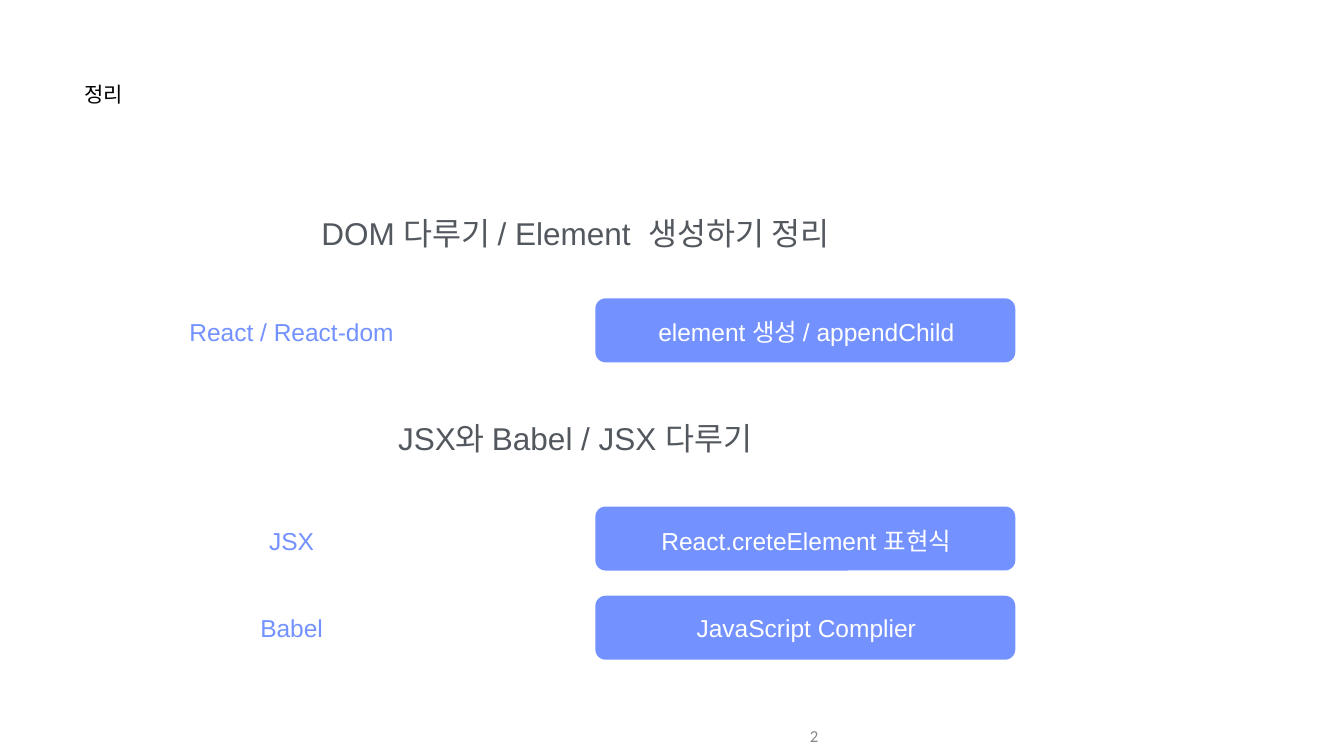
from pptx import Presentation
from pptx.dml.color import RGBColor
from pptx.enum.shapes import MSO_SHAPE
from pptx.enum.text import MSO_ANCHOR, PP_ALIGN
from pptx.util import Inches, Pt

ROUNDED = MSO_SHAPE.ROUNDED_RECTANGLE
TOP, MIDDLE = MSO_ANCHOR.TOP, MSO_ANCHOR.MIDDLE
LEFT, CENTER, RIGHT = PP_ALIGN.LEFT, PP_ALIGN.CENTER, PP_ALIGN.RIGHT

BLACK = RGBColor(0x00, 0x00, 0x00)
WHITE = RGBColor(0xFF, 0xFF, 0xFF)
BLUE = RGBColor(0x73, 0x91, 0xFF)
SLATE = RGBColor(0x53, 0x58, 0x5F)
GRAY = RGBColor(0x88, 0x88, 0x88)


def write(sp, text, size, color, align=CENTER, anchor=MIDDLE, font="Arial", inset=0.01):
    tf = sp.text_frame
    tf.word_wrap = True
    tf.vertical_anchor = anchor
    tf.margin_left = tf.margin_right = Inches(inset)
    tf.margin_top = tf.margin_bottom = Inches(min(inset, 0.05))
    p = tf.paragraphs[0]
    p.alignment = align
    r = p.add_run()
    r.text = text
    r.font.name = font
    r.font.size = Pt(size)
    r.font.color.rgb = color


def add_text(s, left, top, width, height, *args, **kwargs):
    sp = s.shapes.add_textbox(Inches(left), Inches(top), Inches(width), Inches(height))
    write(sp, *args, **kwargs)


prs = Presentation()
prs.slide_width = Inches(26.66)
prs.slide_height = Inches(15)
s = prs.slides.add_slide(prs.slide_layouts[5])

title = s.shapes.title
title.left, title.top = Inches(1.67), Inches(1.6)
title.width, title.height = Inches(4.86), Inches(1.18)
write(title, "정리", 30, BLACK, LEFT, TOP)

headings = [
    (4.24, "DOM 다루기 / Element  생성하기 정리"),
    (8.31, "JSX와 Babel / JSX 다루기"),
]
for top, heading in headings:
    add_text(s, 2.64, top, 17.54, 0.79, heading, 45, SLATE, anchor=TOP)

rows = [
    (5.92, 6.28, "React / React-dom", "element 생성 / appendChild"),
    (10.05, 10.42, "JSX", "React.creteElement 표현식"),
    (11.82, 12.15, "Babel", "JavaScript Complier"),
]
for box_top, text_top, term, meaning in rows:
    box = s.shapes.add_shape(ROUNDED, Inches(11.81), Inches(box_top), Inches(8.33), Inches(1.27))
    box.adjustments[0] = 0.16
    box.shadow.inherit = False
    box.fill.solid()
    box.fill.fore_color.rgb = BLUE
    box.line.fill.background()
    add_text(s, 2.66, text_top, 6.25, 0.62, term, 35, BLUE)
    add_text(s, 11.83, text_top, 8.33, 0.62, meaning, 35, WHITE)

add_text(s, 10.33, 14.21, 6, 0.79, "2", 24, GRAY, RIGHT, font="Calibri", inset=0.1)

prs.save("out.pptx")
